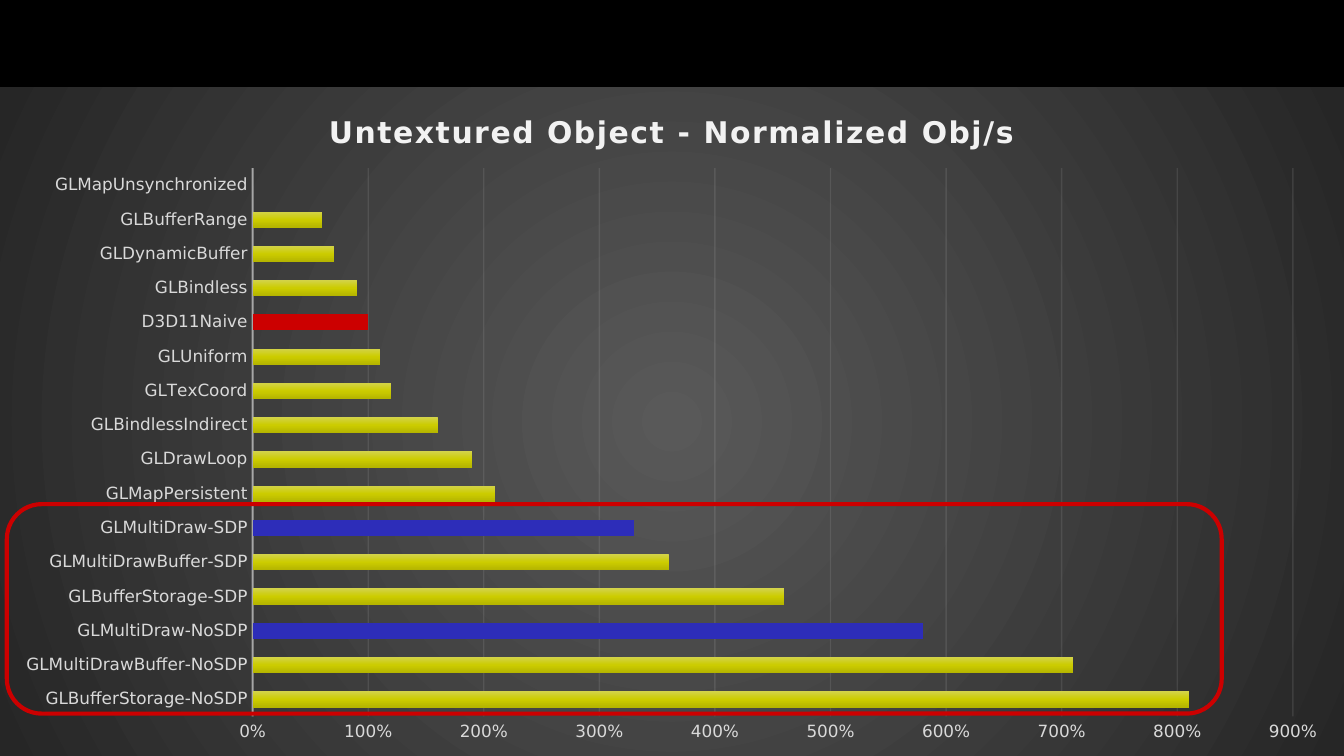
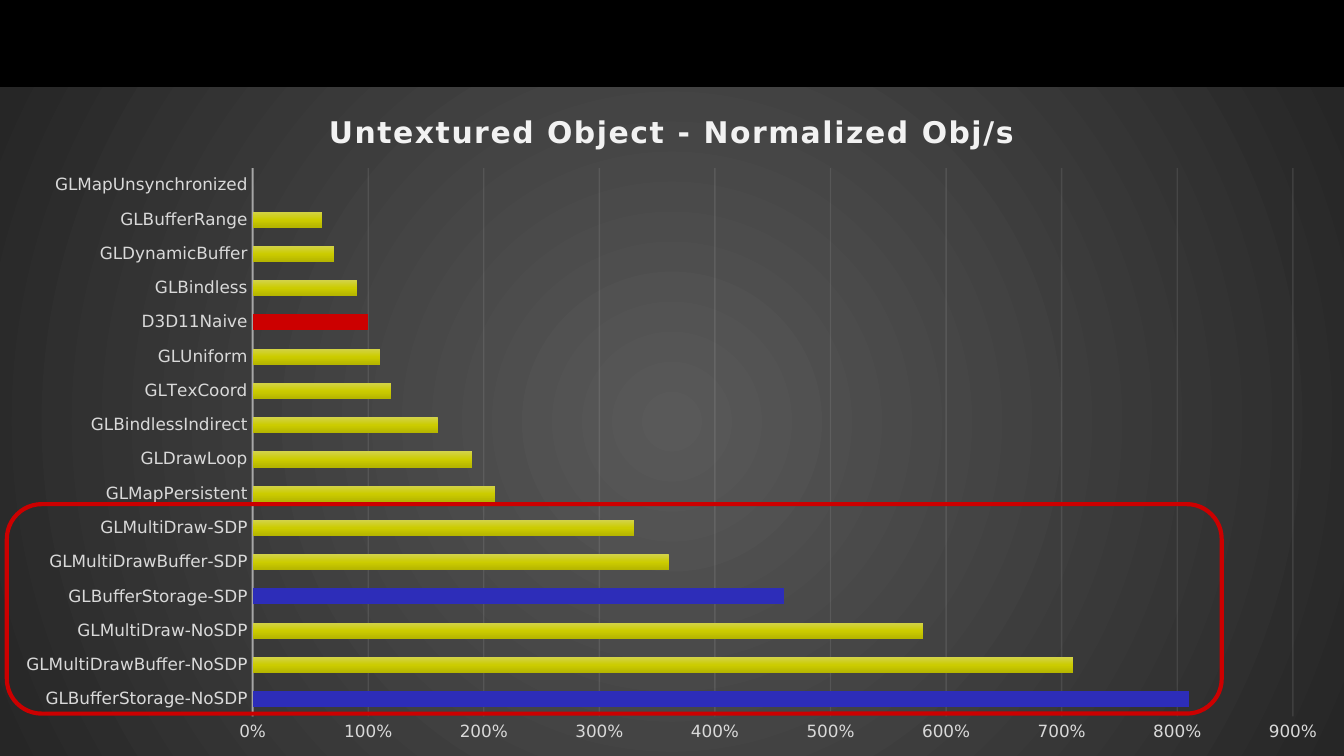
import pptx
import pptx.chart.data
import pptx.dml.color
import pptx.enum.chart
import pptx.enum.shapes
import pptx.oxml
import pptx.oxml.ns
import pptx.util
from pptx.util import Cm

RGBColor = pptx.dml.color.RGBColor
BLACK = RGBColor(0x00, 0x00, 0x00)
RED = RGBColor(0xCC, 0x00, 0x00)
BLUE = RGBColor(0x2D, 0x2D, 0xB9)
PALE = RGBColor(0xF2, 0xF2, 0xF2)
LABEL_GREY = RGBColor(0xD9, 0xD9, 0xD9)
GREY = RGBColor(0x59, 0x59, 0x59)
DARK_GREY = RGBColor(0x26, 0x26, 0x26)
LIGHT_YELLOW = RGBColor(0xD3, 0xD3, 0x4B)
YELLOW = RGBColor(0xCC, 0xCC, 0x00)
DARK_YELLOW = RGBColor(0xB5, 0xB5, 0x00)

FONT = "DejaVu Sans"
TITLE = "Untextured Object - Normalized Obj/s"
BASELINE = "D3D11Naive"
RATES = {
    "GLBufferStorage-NoSDP": 8.1,
    "GLMultiDrawBuffer-NoSDP": 7.1,
    "GLMultiDraw-NoSDP": 5.8,
    "GLBufferStorage-SDP": 4.6,
    "GLMultiDrawBuffer-SDP": 3.6,
    "GLMultiDraw-SDP": 3.3,
    "GLMapPersistent": 2.1,
    "GLDrawLoop": 1.9,
    "GLBindlessIndirect": 1.6,
    "GLTexCoord": 1.2,
    "GLUniform": 1.1,
    BASELINE: 1,
    "GLBindless": 0.9,
    "GLDynamicBuffer": 0.7,
    "GLBufferRange": 0.6,
    "GLMapUnsynchronized": 0,
}
HIGHLIGHTS = [
    ("GLMultiDraw-SDP", "GLMultiDraw-NoSDP"),
    ("GLBufferStorage-SDP", "GLBufferStorage-NoSDP"),
]

LINEAR_DOWN = '<a:lin ang="5400000" scaled="0"/>'
FROM_CENTRE = ('<a:path path="circle"><a:fillToRect l="50000" t="50000" '
               'r="50000" b="50000"/></a:path>')
PLOT_AREA = {"x": 0.188, "y": 0.121, "w": 0.774, "h": 0.82}


def gradient(colors, direction):
    """Return a gradFill element with evenly spaced stops."""
    step = 100000 // (len(colors) - 1)
    stops = "".join(
        f'<a:gs pos="{i * step}"><a:srgbClr val="{color}"/></a:gs>'
        for i, color in enumerate(colors))
    return pptx.oxml.parse_xml(
        f'<a:gradFill {pptx.oxml.ns.nsdecls("a")} rotWithShape="1">'
        f'<a:gsLst>{stops}</a:gsLst>{direction}</a:gradFill>')


class Page:
    def __init__(self, deck):
        self.slide = deck.slides.add_slide(deck.slide_layouts[6])
        background = self.slide.background.fill
        background.solid()
        background.fore_color.rgb = BLACK

    def style_font(self, font, size, color, bold=False):
        font.name = FONT
        font.size = pptx.util.Pt(size)
        font.bold = bold
        font.color.rgb = color

    def style_line(self, line, width, opacity):
        line.width = pptx.util.Pt(width)
        line.color.rgb = PALE
        color = line._get_or_add_ln().find(".//" + pptx.oxml.ns.qn("a:srgbClr"))
        color.append(pptx.oxml.parse_xml(
            f'<a:alpha {pptx.oxml.ns.nsdecls("a")} val="{opacity * 1000}"/>'))

    def style_axis(self, axis):
        axis.major_tick_mark = pptx.enum.chart.XL_TICK_MARK.NONE
        axis.minor_tick_mark = pptx.enum.chart.XL_TICK_MARK.NONE
        self.style_font(axis.tick_labels.font, 9, LABEL_GREY)

    def add_chart_title(self, chart):
        chart.has_title = True
        para = chart.chart_title.text_frame.paragraphs[0]
        para.text = TITLE
        span = para.runs[0]
        self.style_font(span.font, 16, PALE, bold=True)
        span.font._element.set("spc", "100")
        chart.chart_title.include_in_layout = False

    def place_plot(self, chart):
        """Fix the inner plot area as fractions of the chart."""
        plot_area = chart._chartSpace.find(".//" + pptx.oxml.ns.qn("c:plotArea"))
        for old in plot_area.findall(pptx.oxml.ns.qn("c:layout")):
            plot_area.remove(old)
        modes = '<c:xMode val="edge"/><c:yMode val="edge"/>'
        sizes = "".join(f'<c:{key} val="{value}"/>' for key, value in PLOT_AREA.items())
        plot_area.insert(0, pptx.oxml.parse_xml(
            f'<c:layout {pptx.oxml.ns.nsdecls("c")}><c:manualLayout>'
            f'<c:layoutTarget val="inner"/>{modes}{sizes}</c:manualLayout></c:layout>'))

    def fill_chart(self, chart):
        frame = pptx.oxml.parse_xml(
            f'<c:spPr {pptx.oxml.ns.nsdecls("c", "a")}><a:ln><a:noFill/></a:ln></c:spPr>')
        frame.insert(0, gradient([GREY, DARK_GREY], FROM_CENTRE))
        chart._chartSpace.find(pptx.oxml.ns.qn("c:chart")).addnext(frame)

    def color_bars(self, plot, highlighted):
        plot.gap_width = 115
        plot.overlap = -20
        plot.vary_by_categories = False
        series = plot.series[0]
        series.invert_if_negative = False
        series.format.line.fill.background()
        series._element.get_or_add_spPr().insert(
            0, gradient([LIGHT_YELLOW, YELLOW, DARK_YELLOW], LINEAR_DOWN))
        for i, name in enumerate(RATES):
            if name == BASELINE or name in highlighted:
                point = series.points[i].format
                point.fill.solid()
                point.fill.fore_color.rgb = RED if name == BASELINE else BLUE
                point.line.fill.background()

    def add_rate_chart(self, highlighted):
        data = pptx.chart.data.CategoryChartData(number_format="0%")
        data.categories = list(RATES)
        data.add_series("Series 1", list(RATES.values()))
        chart = self.slide.shapes.add_chart(
            pptx.enum.chart.XL_CHART_TYPE.BAR_CLUSTERED,
            Cm(0), Cm(1.65), Cm(25.4), Cm(12.64), data).chart
        self.style_font(chart.font, 10, BLACK)
        chart.has_legend = False
        self.add_chart_title(chart)
        self.fill_chart(chart)
        self.place_plot(chart)
        self.color_bars(chart.plots[0], highlighted)

        names = chart.category_axis
        self.style_axis(names)
        self.style_line(names.format.line, 1, 54)

        rates = chart.value_axis
        self.style_axis(rates)
        rates.minimum_scale, rates.maximum_scale, rates.major_unit = 0, 9, 1
        rates.tick_labels.number_format = "0%"
        rates.tick_labels.number_format_is_linked = False
        rates.format.line.fill.background()
        rates.has_major_gridlines = True
        self.style_line(rates.major_gridlines.format.line, 0.75, 10)

    def add_outline(self):
        """Ring the fastest methods."""
        box = self.slide.shapes.add_shape(
            pptx.enum.shapes.MSO_SHAPE.ROUNDED_RECTANGLE,
            Cm(0.13), Cm(9.53), Cm(22.96), Cm(3.96))
        box.shadow.inherit = False
        box.fill.background()
        box.line.color.rgb = RED
        box.line.width = pptx.util.Pt(2.25)


def main():
    deck = pptx.Presentation()
    deck.slide_width, deck.slide_height = Cm(25.4), Cm(14.29)
    for highlighted in HIGHLIGHTS:
        page = Page(deck)
        page.add_rate_chart(highlighted)
        page.add_outline()
    deck.save("out.pptx")


if __name__ == "__main__":
    main()
